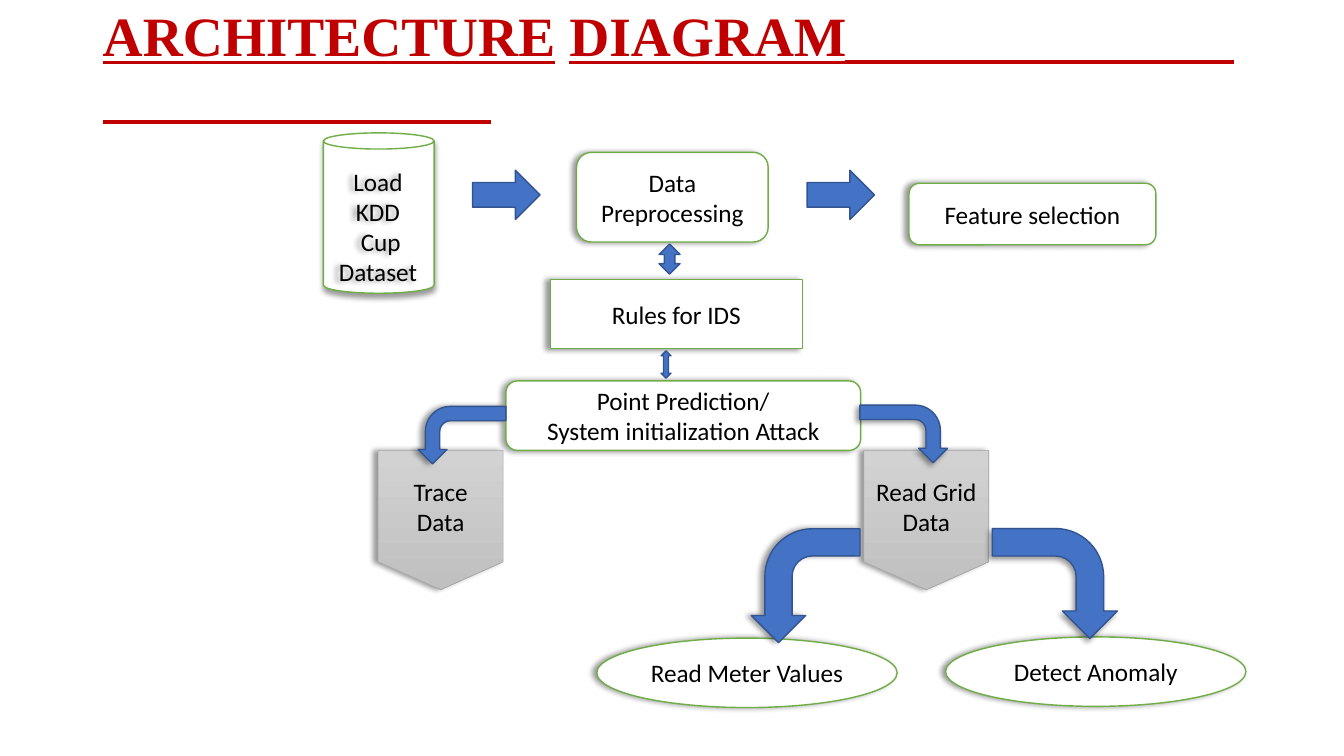
"""Build the architecture diagram slide of an intrusion detection system."""
from dataclasses import dataclass
from typing import Optional

import pptx
import pptx.dml.color
import pptx.enum.shapes
import pptx.enum.text
import pptx.oxml
import pptx.oxml.ns
import pptx.util

Cm = pptx.util.Cm
Pt = pptx.util.Pt
RGB = pptx.dml.color.RGBColor.from_string
SHAPE = pptx.enum.shapes.MSO_SHAPE
ALIGN = pptx.enum.text.PP_ALIGN
ANCHOR = pptx.enum.text.MSO_ANCHOR


@dataclass(frozen=True)
class Theme:
    title: str = "C00000"
    text: str = "000000"
    node: str = "FFFFFF"
    node_line: str = "70AD47"
    page_top: str = "D2D2D2"
    page_bottom: str = "C0C0C0"
    page_line: str = "A5A5A5"
    arrow: str = "4472C4"
    arrow_line: str = "325491"
    title_font: str = "Times New Roman"
    body_font: str = "Calibri"
    title_size: float = 39.6
    body_size: float = 18
    rule_width: float = 3


@dataclass(frozen=True)
class Node:
    kind: SHAPE
    left: float
    top: float
    width: float
    height: float
    text: str = ""
    shadow: int = 180


@dataclass(frozen=True)
class Arrow:
    kind: SHAPE
    left: float
    top: float
    width: float
    height: float
    rotation: int = 0
    flip: str = ""
    shadow: Optional[int] = None


@dataclass(frozen=True)
class Rule:
    left: float
    right: float
    y: float


THEME = Theme()
PAGE = SHAPE.FLOWCHART_OFFPAGE_CONNECTOR
NODES = [
    Node(SHAPE.CAN, 8.15, 3.35, 2.79, 4.04, shadow=90),
    Node(SHAPE.ROUNDED_RECTANGLE, 14.53, 3.84, 4.83, 2.26, "Data Preprocessing"),
    Node(SHAPE.FLOWCHART_ALTERNATE_PROCESS, 22.91, 4.62, 6.22, 1.55, "Feature selection"),
    Node(SHAPE.FLOWCHART_PROCESS, 13.87, 7.04, 6.35, 1.75, "Rules for IDS"),
    Node(SHAPE.FLOWCHART_ALTERNATE_PROCESS, 12.75, 9.6, 8.94, 1.75,
         "Point Prediction/\nSystem initialization Attack"),
    Node(PAGE, 9.53, 11.35, 3.15, 3.51, "Trace Data"),
    Node(PAGE, 21.77, 11.35, 3.15, 3.51, "Read Grid Data"),
    Node(SHAPE.OVAL, 15.04, 16.08, 7.57, 1.75, "Read Meter Values"),
    Node(SHAPE.OVAL, 23.83, 16.05, 7.57, 1.75, "Detect Anomaly"),
]
ARROWS = [
    Arrow(SHAPE.DOWN_ARROW, 12.14, 4.06, 1.24, 1.7, 270),
    Arrow(SHAPE.DOWN_ARROW, 20.57, 4.06, 1.24, 1.7, 270),
    Arrow(SHAPE.UP_DOWN_ARROW, 16.61, 6.15, 0.53, 0.76),
    Arrow(SHAPE.UP_DOWN_ARROW, 16.66, 8.84, 0.25, 0.69),
    Arrow(SHAPE.BENT_ARROW, 10.92, 9.86, 1.45, 2.21, 270, "H", 180),
    Arrow(SHAPE.BENT_ARROW, 22.05, 9.83, 1.45, 2.21, 270, "HV", 135),
    Arrow(SHAPE.BENT_ARROW, 25.2, 13.13, 2.77, 3.15, 270, "HV", 135),
    Arrow(SHAPE.BENT_ARROW, 18.87, 13.39, 2.87, 2.74, 270, "H", 180),
]
RULES = [Rule(21.29, 31.09, 1.56), Rule(2.59, 12.37, 3.07)]


def set_shadow(sp, angle: Optional[int]) -> None:
    """Give a shape a soft shadow towards the angle, or none."""
    sp.shadow.inherit = False
    if angle is None:
        return
    effects = sp.element.spPr.find(pptx.oxml.ns.qn("a:effectLst"))
    effects.append(pptx.oxml.parse_xml(
        f'<a:outerShdw {pptx.oxml.ns.nsdecls("a")} blurRad="{Pt(4)}" dist="{Pt(3)}" '
        f'dir="{angle * 60000}" algn="ctr" rotWithShape="0"><a:srgbClr val="000000">'
        '<a:alpha val="40000"/></a:srgbClr></a:outerShdw>'))


def set_text(tf, text: str) -> None:
    """Write centred body text."""
    tf.word_wrap = True
    tf.text = text
    for p in tf.paragraphs:
        p.alignment = ALIGN.CENTER
        for r in p.runs:
            r.font.name = THEME.body_font
            r.font.size = Pt(THEME.body_size)
            r.font.color.rgb = RGB(THEME.text)


def add_preset(s, item, line: str, width: float):
    """Add the preset shape of a node or an arrow."""
    sp = s.shapes.add_shape(item.kind, Cm(item.left), Cm(item.top),
                            Cm(item.width), Cm(item.height))
    sp.line.color.rgb = RGB(line)
    sp.line.width = Pt(width)
    set_shadow(sp, item.shadow)
    return sp


def add_node(s, node: Node) -> None:
    """Draw one step of the diagram."""
    if node.kind == PAGE:
        sp = add_preset(s, node, THEME.page_line, 0.5)
        sp.fill.gradient()
        sp.fill.gradient_angle = 270
        for stop, color in zip(sp.fill.gradient_stops, (THEME.page_top, THEME.page_bottom)):
            stop.color.rgb = RGB(color)
    else:
        sp = add_preset(s, node, THEME.node_line, 1)
        sp.fill.solid()
        sp.fill.fore_color.rgb = RGB(THEME.node)
    if node.kind == SHAPE.CAN:
        sp.adjustments[0] = 0.146
    if node.text:
        sp.text_frame.vertical_anchor = ANCHOR.MIDDLE
        set_text(sp.text_frame, node.text)


def add_arrow(s, arrow: Arrow) -> None:
    """Draw one block arrow."""
    sp = add_preset(s, arrow, THEME.arrow_line, 1)
    sp.fill.solid()
    sp.fill.fore_color.rgb = RGB(THEME.arrow)
    sp.rotation = arrow.rotation
    for axis in arrow.flip:
        sp.element.spPr.find(pptx.oxml.ns.qn("a:xfrm")).set(f"flip{axis}", "1")


def add_rule(s, rule: Rule) -> None:
    """Draw one horizontal title rule."""
    line = s.shapes.add_connector(pptx.enum.shapes.MSO_CONNECTOR.STRAIGHT,
                                  Cm(rule.left), Cm(rule.y), Cm(rule.right), Cm(rule.y))
    line.line.color.rgb = RGB(THEME.title)
    line.line.width = Pt(THEME.rule_width)
    line.element.spPr.append(pptx.oxml.parse_xml(
        f'<a:effectLst {pptx.oxml.ns.nsdecls("a")}/>'))


def add_title(s) -> None:
    """Write the title with each word underlined."""
    tf = s.shapes.add_textbox(Cm(2.34), Cm(0.2), Cm(29.21), Cm(1.55)).text_frame
    tf.word_wrap = True
    tf.vertical_anchor = ANCHOR.MIDDLE
    p = tf.paragraphs[0]
    p.line_spacing = 0.9
    for text in ("ARCHITECTURE", " ", "DIAGRAM"):
        r = p.add_run()
        r.text = text
        r.font.name = THEME.title_font
        r.font.size = Pt(THEME.title_size)
        r.font.bold = True
        r.font.underline = text != " "
        r.font.color.rgb = RGB(THEME.title)


def main() -> None:
    """Build and save the slide."""
    prs = pptx.Presentation()
    prs.slide_width, prs.slide_height = Cm(33.87), Cm(19.05)
    s = prs.slides.add_slide(prs.slide_layouts[6])
    add_title(s)
    for rule in RULES:
        add_rule(s, rule)
    for node in NODES:
        add_node(s, node)
    dataset = s.shapes.add_textbox(Cm(8.13), Cm(4.06), Cm(2.79), Cm(3.33))
    set_text(dataset.text_frame, "Load KDD\n Cup Dataset")
    set_shadow(dataset, 180)
    for arrow in ARROWS:
        add_arrow(s, arrow)
    prs.save("out.pptx")


if __name__ == "__main__":
    main()
